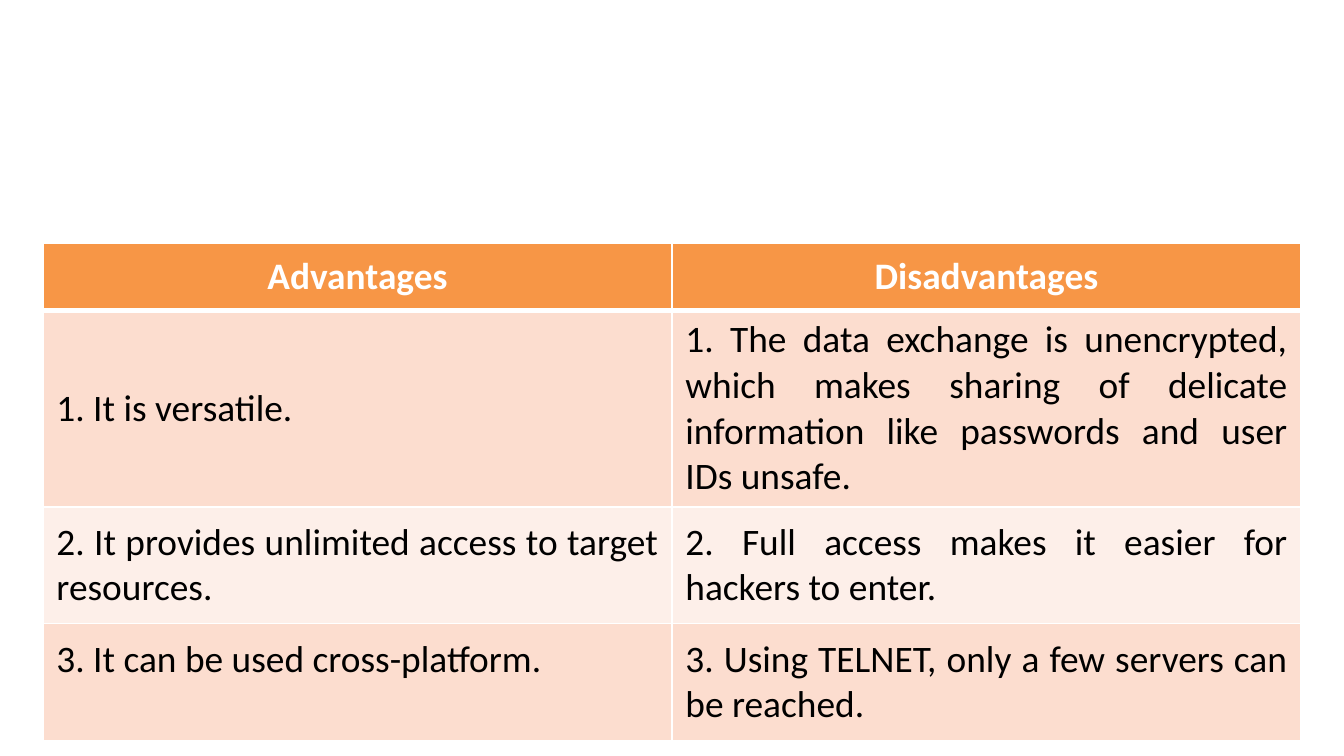
from lxml import etree
from pptx import Presentation
from pptx.dml.color import RGBColor
from pptx.enum.text import MSO_ANCHOR as Anchor, PP_ALIGN as Align
from pptx.oxml.ns import qn
from pptx.util import Inches, Pt

WHITE = RGBColor(0xFF, 0xFF, 0xFF)
BLACK = RGBColor(0x00, 0x00, 0x00)
ORANGE = RGBColor(0xF7, 0x96, 0x46)
PEACH = RGBColor(0xFC, 0xDD, 0xCF)
PALE_PEACH = RGBColor(0xFD, 0xEF, 0xE9)

COLUMN_WIDTH = 4.68
ROW_HEIGHTS = (0.5, 1.34, 0.87, 0.87)
COMPARISON = (
    ("Advantages", "Disadvantages"),
    ("1. It is versatile.",
     "1. The data exchange is unencrypted, which makes sharing of delicate "
     "information like passwords and user IDs unsafe."),
    ("2. It provides unlimited access to target resources.",
     "2. Full access makes it easier for hackers to enter."),
    ("3. It can be used cross-platform.",
     "3. Using TELNET, only a few servers can be reached."),
)


class SlideBuilder:
    """Holds the text style and the slide on which elements are placed."""

    def __init__(self, slide, font_name="Calibri", font_size=20):
        self.slide = slide
        self.font_name = font_name
        self.font_size = Pt(font_size)

    def table(self, left, top, column_width, row_heights, content):
        columns = len(content[0])
        frame = self.slide.shapes.add_table(
            len(content), columns, Inches(left), Inches(top),
            Inches(column_width * columns), Inches(sum(row_heights)))
        table = frame.table
        for column in table.columns:
            column.width = Inches(column_width)
        for index, (height, texts) in enumerate(zip(row_heights, content)):
            table.rows[index].height = Inches(height)
            for position, text in enumerate(texts):
                self.cell(table.cell(index, position), text, index)
        return table

    def cell(self, cell, text, row):
        header = row == 0
        fill = ORANGE if header else (PALE_PEACH, PEACH)[row % 2]
        cell.vertical_anchor = Anchor.MIDDLE
        self.borders(cell, 3 if header else 1, 3 if row == 1 else 1)
        cell.fill.solid()
        cell.fill.fore_color.rgb = fill
        paragraph = cell.text_frame.paragraphs[0]
        paragraph.alignment = Align.CENTER if header else Align.JUSTIFY
        run = paragraph.add_run()
        run.text = text
        run.font.name = self.font_name
        run.font.size = self.font_size
        run.font.bold = header
        run.font.color.rgb = WHITE if header else BLACK

    def borders(self, cell, bottom, top):
        properties = cell._tc.get_or_add_tcPr()
        for side, width in (("L", 1), ("R", 1), ("T", top), ("B", bottom)):
            line = etree.SubElement(properties, qn(f"a:ln{side}"), w=str(Pt(width)))
            fill = etree.SubElement(line, qn("a:solidFill"))
            etree.SubElement(fill, qn("a:srgbClr"), val=str(WHITE))


def main():
    presentation = Presentation()
    presentation.slide_width = Inches(10)
    presentation.slide_height = presentation.slide_width * 9 // 16
    slide = presentation.slides.add_slide(presentation.slide_layouts[6])
    builder = SlideBuilder(slide)
    table = builder.table(0.32, 1.81, COLUMN_WIDTH, ROW_HEIGHTS, COMPARISON)
    last_advantage = table.cell(len(COMPARISON) - 1, 0)
    last_advantage.vertical_anchor = Anchor.TOP
    last_advantage.margin_top = Inches(0.1)
    presentation.save("out.pptx")


if __name__ == "__main__":
    main()
